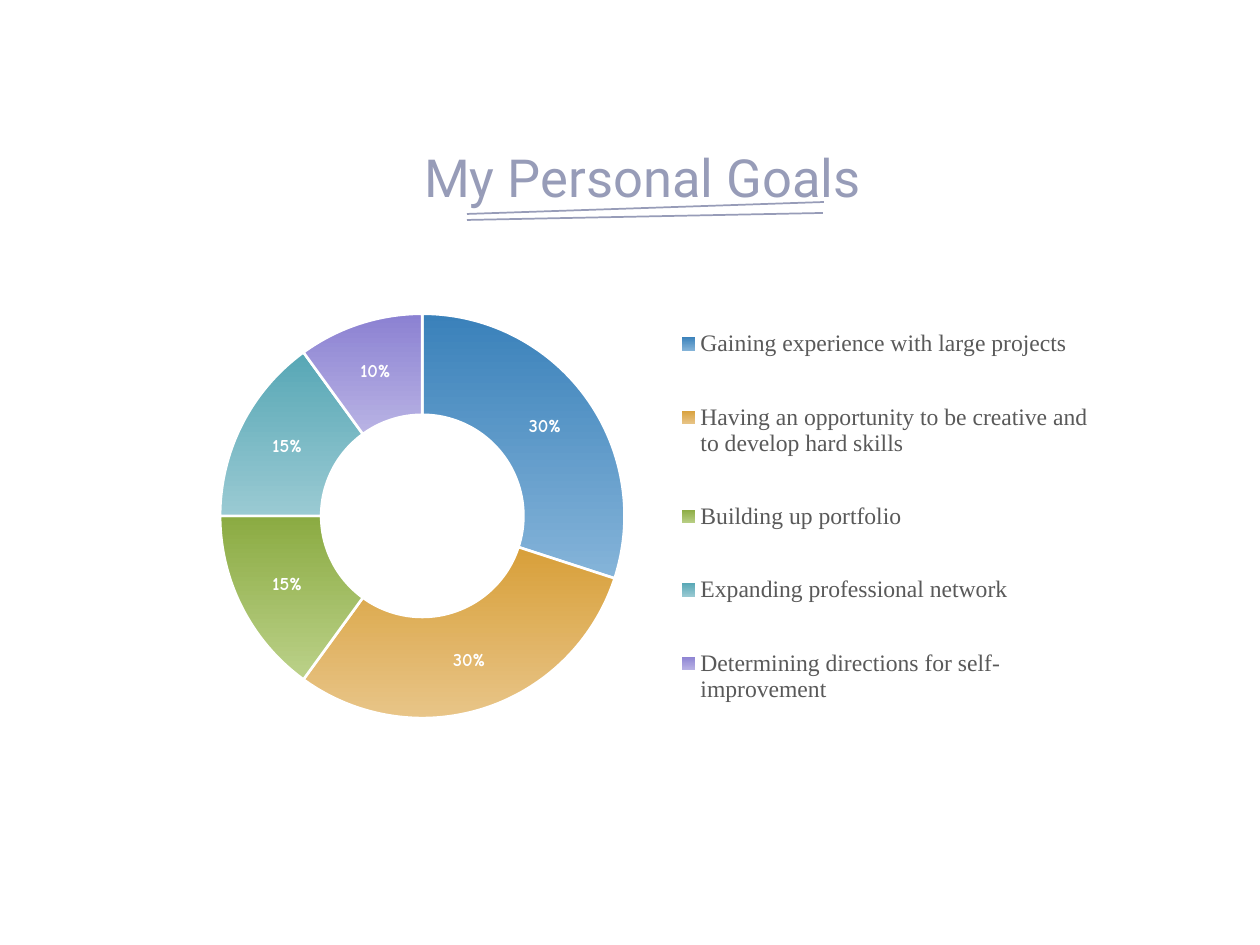
from dataclasses import dataclass

from lxml import etree
from pptx import Presentation
from pptx import util as u
from pptx.chart.data import CategoryChartData
from pptx.dml.color import RGBColor
from pptx.enum import chart as charts, shapes, text
from pptx.oxml.ns import qn

EMU_PER_PX = 914400 / 126


@dataclass(frozen=True)
class Theme:
    title: str = "979CB8"
    legend: str = "595959"
    label: str = "FFFFFF"
    body: str = "000000"
    title_size: float = 30
    legend_size: float = 13.5
    label_size: float = 10.5
    body_size: float = 10
    rule_width: float = 1
    border_width: float = 1.5


@dataclass(frozen=True)
class Area:
    left: int
    top: int
    width: int
    height: int


@dataclass(frozen=True)
class Rule:
    x1: int
    y1: int
    x2: int
    y2: int


@dataclass(frozen=True)
class Goal:
    name: str
    percent: int
    dark: str
    light: str


THEME = Theme()
TITLE_AREA = Area(154, 95, 977, 126)
CHART_AREA = Area(141, 257, 977, 527)
RING_AREA = Area(220, 307, 404, 418)
LEGEND_AREA = Area(674, 284, 420, 466)
HOLE_PERCENT = 70
RULES = [Rule(467, 214, 824, 202), Rule(467, 220, 823, 213)]
GOALS = [
    Goal("Gaining experience with large projects", 30, "3A81BA", "85B4D9"),
    Goal("Having an opportunity to be creative and to develop hard skills", 30, "D89F39", "E8C588"),
    Goal("Building up portfolio", 15, "8BAB42", "BBD189"),
    Goal("Expanding professional network", 15, "57A7B5", "9ACAD3"),
    Goal("Determining directions for self-improvement", 10, "8B81D2", "B9B3E4"),
]


def px(length: int) -> u.Emu:
    return u.Emu(round(length * EMU_PER_PX))


def bounds(area: Area) -> tuple:
    return px(area.left), px(area.top), px(area.width), px(area.height)


def color(code: str) -> RGBColor:
    return RGBColor.from_string(code)


def style_font(font, name: str, size: float, code: str, bold: bool = False) -> None:
    font.name, font.size, font.bold = name, u.Pt(size), bold
    font.color.rgb = color(code)


def add_text(page, wording: str, area: Area, *, font: str, size: float, code: str) -> None:
    """Add centred text standing on the bottom of its area."""
    box = page.shapes.add_textbox(*bounds(area))
    frame = box.text_frame
    frame.word_wrap = True
    frame.vertical_anchor = text.MSO_ANCHOR.BOTTOM
    frame.margin_left = frame.margin_right = u.Inches(0.1)
    frame.margin_top = frame.margin_bottom = u.Inches(0.1)
    para = frame.paragraphs[0]
    para.alignment = text.PP_ALIGN.CENTER
    span = para.add_run()
    span.text = wording
    style_font(span.font, font, size, code)


def add_rule(page, rule: Rule) -> None:
    line = page.shapes.add_connector(
        shapes.MSO_CONNECTOR.STRAIGHT, px(rule.x1), px(rule.y1), px(rule.x2), px(rule.y2)
    )
    line.line.color.rgb = color(THEME.title)
    line.line.width = u.Pt(THEME.rule_width)
    etree.SubElement(line._element.spPr, qn("a:effectLst"))


def make_layout(area: Area, inner: bool = False):
    """Build a manual layout from an area inside the chart."""
    layout = etree.Element(qn("c:layout"))
    manual = etree.SubElement(layout, qn("c:manualLayout"))
    values = {"layoutTarget": "inner"} if inner else {}
    values |= {
        "xMode": "edge",
        "yMode": "edge",
        "x": round((area.left - CHART_AREA.left) / CHART_AREA.width, 3),
        "y": round((area.top - CHART_AREA.top) / CHART_AREA.height, 3),
        "w": round(area.width / CHART_AREA.width, 3),
        "h": round(area.height / CHART_AREA.height, 3),
    }
    for tag, value in values.items():
        etree.SubElement(manual, qn(f"c:{tag}")).set("val", str(value))
    return layout


def style_slice(point, goal: Goal) -> None:
    fill = point.format.fill
    fill.gradient()
    fill.gradient_angle = 270
    for stop, code in zip(fill.gradient_stops, (goal.dark, goal.light)):
        stop.color.rgb = color(code)
    for stop, position in zip(fill.gradient_stops, (0, 1)):
        stop.position = position
    point.format.line.color.rgb = color(THEME.label)
    point.format.line.width = u.Pt(THEME.border_width)


def place(parent, layout, before: str) -> None:
    """Put the layout in a chart part, replacing any earlier one."""
    for old in parent.findall(qn("c:layout")):
        parent.remove(old)
    parent.find(qn(before)).addprevious(layout)


def add_goal_chart(page, goals: list[Goal]) -> None:
    data = CategoryChartData()
    data.categories = [goal.name for goal in goals]
    data.add_series("Series 1", [goal.percent for goal in goals])
    chart = page.shapes.add_chart(
        charts.XL_CHART_TYPE.DOUGHNUT, *bounds(CHART_AREA), data
    ).chart
    chart.has_title = False
    style_font(chart.font, "Arial", THEME.body_size, THEME.body)

    chart.has_legend = True
    legend = chart.legend
    legend.position = charts.XL_LEGEND_POSITION.RIGHT
    legend.include_in_layout = False
    style_font(legend.font, "Times New Roman", THEME.legend_size, THEME.legend)
    place(legend._element, make_layout(LEGEND_AREA), "c:overlay")

    plot = chart.plots[0]
    plot.vary_by_categories = True
    ring = plot._element
    ring.find(qn("c:holeSize")).set("val", str(HOLE_PERCENT))
    place(ring.getparent(), make_layout(RING_AREA, inner=True), "c:doughnutChart")

    series = plot.series[0]
    for index, goal in enumerate(goals):
        style_slice(series.points[index], goal)
    labels = series.data_labels
    labels.show_percentage = True
    labels.show_value = False
    style_font(labels.font, "Comic Neue", THEME.label_size, THEME.label, bold=True)


def main() -> None:
    deck = Presentation()
    deck.slide_width, deck.slide_height = px(1260), px(945)
    page = deck.slides.add_slide(deck.slide_layouts[6])
    for rule in RULES:
        add_rule(page, rule)
    add_text(page, "My Personal Goals", TITLE_AREA,
             font="Roboto", size=THEME.title_size, code=THEME.title)
    add_goal_chart(page, GOALS)
    deck.save("out.pptx")


if __name__ == "__main__":
    main()
